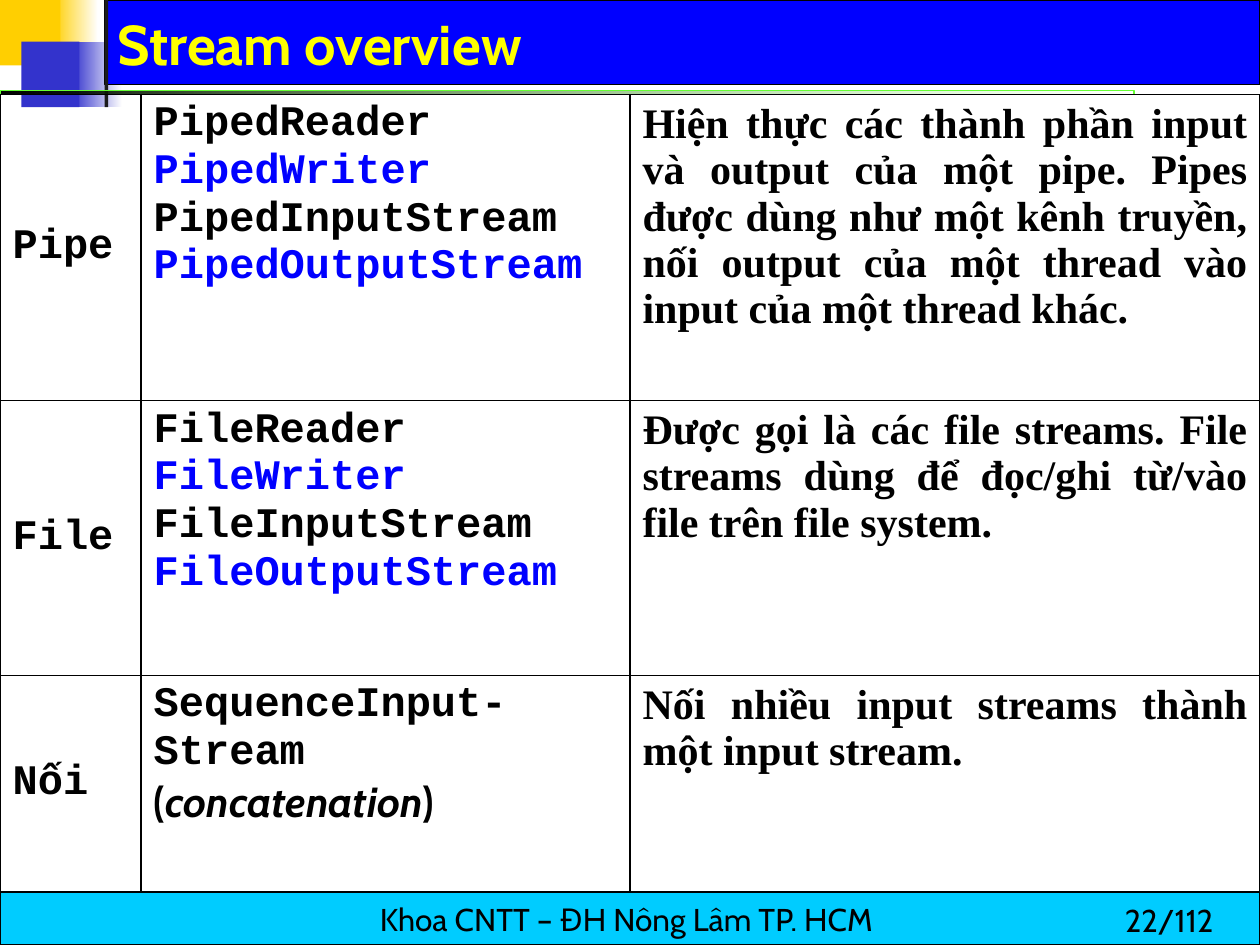
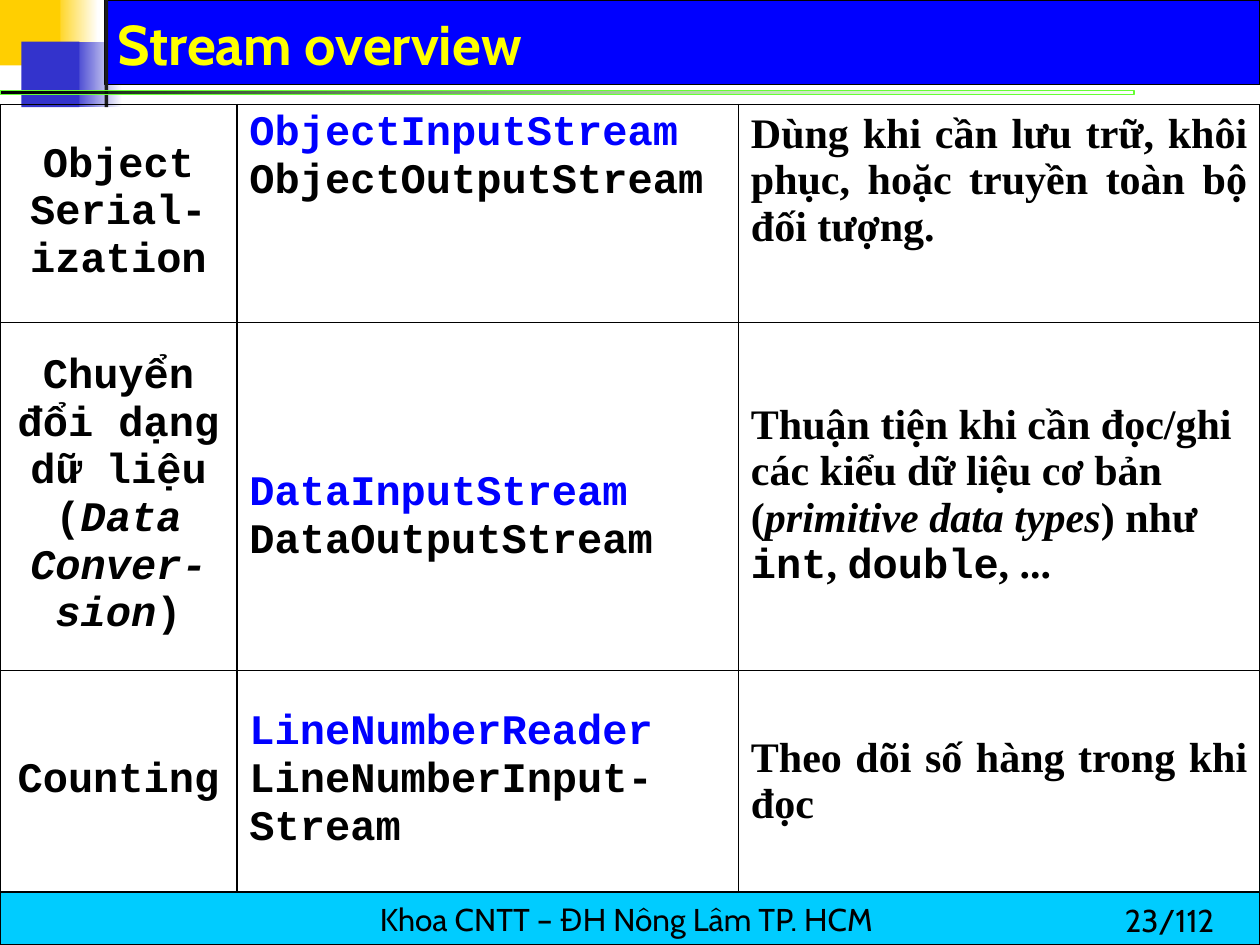
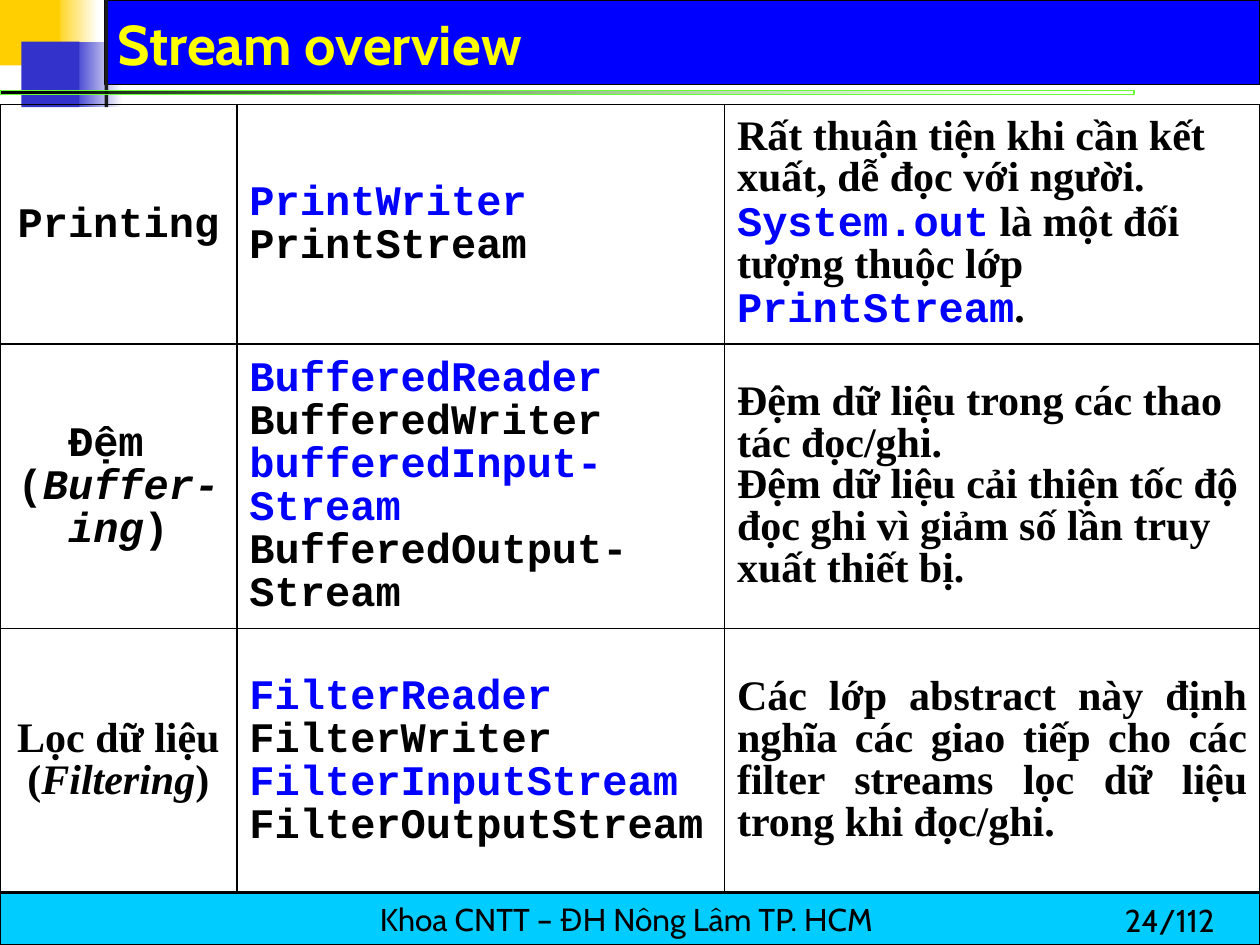
from lxml.etree import SubElement
from pptx import Presentation
from pptx.dml.color import RGBColor
from pptx.enum.shapes import MSO_SHAPE
from pptx.enum.text import MSO_ANCHOR, MSO_AUTO_SIZE, PP_ALIGN
from pptx.oxml.ns import qn
from pptx.util import Pt

PX = 9144  # 100 px to the inch
COLORS = {
    "black": "000000", "white": "FFFFFF", "charcoal": "1C1C1C", "gold": "FFCF01",
    "indigo": "3333CC", "blue": "0000FF", "green": "66FF33", "cyan": "00CCFF",
    "yellow": "FFFF00",
}
RGB = {name: RGBColor.from_string(value) for name, value in COLORS.items()}

# Run styles: font, size, colour, bold, italic
STYLES = {
    "title": ("Cabin", 32, "yellow", True, False),
    "footer": ("Cabin", 18, "black", False, False),
    "code": ("Courier New", 24, "black", True, False),
    "code blue": ("Courier New", 24, "blue", True, False),
    "code italic": ("Courier New", 24, "black", True, True),
    "serif": ("Times New Roman", 24, "black", True, False),
    "serif italic": ("Times New Roman", 24, "black", True, True),
    "sans": ("Cabin", 24, "black", True, False),
    "sans italic": ("Cabin", 24, "black", True, True),
}
LEFT, CENTER, JUSTIFY = PP_ALIGN.LEFT, PP_ALIGN.CENTER, PP_ALIGN.JUSTIFY
TOP, MIDDLE = MSO_ANCHOR.TOP, MSO_ANCHOR.MIDDLE

# Back to front: left, top, width, height, fill (a pair is a gradient), outline, outline points
DECORATIONS = [
    (42, 0, 36, 52, ("gold", "white"), None, 0),
    (57, 33, 40, 52, ("indigo", "white"), None, 0),
    (83, 0, 917, 67, "blue", "black", 0.75),
    (0, 0, 48, 52, "gold", None, 0),
    (17, 33, 46, 52, "indigo", None, 0),
    (83, 0, 3, 85, "charcoal", None, 0),
    (0, 72, 900, 3, ("black", "green"), "green", 0),
    (0, 708, 1000, 42, "cyan", "black", 0.75),
]

# Each cell: anchor, alignment, paragraphs; each paragraph is a list of (style, text)
SLIDES = [
    {"page": "22/112", "top": 75, "columns": [112, 388, 500], "rows": [243, 218, 172],
     "spacing": 1.0, "cells": [
        [(MIDDLE, LEFT, [[("code", "Pipe")]]),
         (TOP, LEFT, [[("code", "PipedReader\n"), ("code blue", "PipedWriter")],
                      [("code", "PipedInputStream\n"), ("code blue", "PipedOutputStream")]]),
         (TOP, JUSTIFY, [[("serif", "Hiện thực các thành phần input và output của một pipe. "
                           "Pipes được dùng như một kênh truyền, nối output của một thread "
                           "vào input của một thread khác.")]])],
        [(MIDDLE, LEFT, [[("code", "File")]]),
         (TOP, LEFT, [[("code", "FileReader\n"), ("code blue", "FileWriter")],
                      [("code", "FileInputStream\n"), ("code blue", "FileOutputStream")]]),
         (TOP, JUSTIFY, [[("serif", "Được gọi là các file streams. File streams dùng để "
                           "đọc/ghi từ/vào file trên file system.")]])],
        [(MIDDLE, LEFT, [[("code", "Nối")]]),
         (TOP, LEFT, [[("code", "SequenceInput-\nStream")],
                      [("sans", "("), ("sans italic", "concatenation"), ("sans", ")")]]),
         (TOP, JUSTIFY, [[("serif", "Nối nhiều input streams thành một input stream.")]])],
     ]},
    {"page": "23/112", "top": 83, "columns": [188, 398, 414], "rows": [173, 276, 176],
     "spacing": 1.0, "lowered": (1, 1), "cells": [
        [(MIDDLE, CENTER, [[("code", "Object\nSerial-\nization")]]),
         (TOP, LEFT, [[("code blue", "ObjectInputStream\n"), ("code", "ObjectOutputStream")]]),
         (TOP, JUSTIFY, [[("serif", "Dùng khi cần lưu trữ, khôi phục, hoặc truyền toàn bộ "
                           "đối tượng.")]])],
        [(MIDDLE, CENTER, [[("code", "Chuyển đổi dạng dữ liệu ("),
                            ("code italic", "Data Conver-sion"), ("code", ")")]]),
         (MIDDLE, LEFT, [[("code blue", "DataInputStream\n"), ("code", "DataOutputStream")]]),
         (MIDDLE, LEFT, [[("serif", "Thuận tiện khi cần đọc/ghi các kiểu dữ liệu cơ bản ("),
                          ("serif italic", "primitive data types"), ("serif", ") như "),
                          ("code", "int"), ("serif", ", "), ("code", "double"),
                          ("serif", ", ...")]])],
        [(MIDDLE, CENTER, [[("code", "Counting")]]),
         (MIDDLE, LEFT, [[("code blue", "LineNumberReader"),
                          ("code", " LineNumberInput-\nStream")]]),
         (MIDDLE, JUSTIFY, [[("serif", "Theo dõi số hàng trong khi đọc")]])],
     ]},
    {"page": "24/112", "top": 83, "columns": [188, 387, 425], "rows": [190, 226, 210],
     "spacing": 0.9, "cells": [
        [(MIDDLE, CENTER, [[("code", "Printing")]]),
         (MIDDLE, LEFT, [[("code blue", "PrintWriter")], [("code", "PrintStream")]]),
         (MIDDLE, LEFT, [[("serif", "Rất thuận tiện khi cần kết xuất, dễ đọc với người. "),
                          ("code blue", "System.out"),
                          ("serif", " là một đối tượng thuộc lớp "),
                          ("code blue", "PrintStream"), ("serif", ".")]])],
        [(MIDDLE, CENTER, [[("code", "Đệm ")],
                           [("code", "("), ("code italic", "Buffer-ing"), ("code", ")")]]),
         (MIDDLE, LEFT, [[("code blue", "BufferedReader\n"), ("code", "BufferedWriter")],
                         [("code blue", "bufferedInput-Stream\n"),
                          ("code", "BufferedOutput-Stream")]]),
         (MIDDLE, LEFT, [[("serif", "Đệm dữ liệu trong các thao tác đọc/ghi.")],
                         [("serif", "Đệm dữ liệu cải thiện tốc độ đọc ghi vì giảm số lần "
                           "truy xuất thiết bị.")]])],
        [(MIDDLE, CENTER, [[("serif", "Lọc dữ liệu ("), ("serif italic", "Filtering"),
                            ("serif", ")")]]),
         (MIDDLE, LEFT, [[("code blue", "FilterReader\n"), ("code", "FilterWriter")],
                         [("code blue", "FilterInputStream\n"), ("code", "FilterOutputStream")]]),
         (MIDDLE, JUSTIFY, [[("serif", "Các lớp abstract này định nghĩa các giao tiếp cho các "
                              "filter streams lọc dữ liệu trong khi đọc/ghi.")]])],
     ]},
]


def write(text_frame, paragraphs, alignment=LEFT, spacing=1.0):
    for index, runs in enumerate(paragraphs):
        paragraph = text_frame.add_paragraph() if index else text_frame.paragraphs[0]
        paragraph.alignment = alignment
        paragraph.line_spacing = spacing
        for style, text in runs:
            name, size, color, bold, italic = STYLES[style]
            for number, line in enumerate(text.split("\n")):
                if number:
                    paragraph.add_line_break()
                if line:
                    run = paragraph.add_run()
                    run.text = line
                    run.font.name, run.font.size = name, Pt(size)
                    run.font.bold, run.font.italic = bold, italic
                    run.font.color.rgb = RGB[color]


def add_borders(cell):
    properties = cell._tc.get_or_add_tcPr()
    for side in ("a:lnL", "a:lnR", "a:lnT", "a:lnB"):
        line = SubElement(properties, qn(side), w=str(Pt(1)))
        fill = SubElement(line, qn("a:solidFill"))
        SubElement(fill, qn("a:srgbClr"), val=COLORS["black"])


presentation = Presentation()
presentation.slide_width, presentation.slide_height = 1000 * PX, 750 * PX
layout = presentation.slide_layouts[5]
for placeholder in list(layout.placeholders):
    if placeholder.placeholder_format.idx:
        layout.shapes.element.remove(placeholder.element)
slides = [presentation.slides.add_slide(layout) for _ in SLIDES]

# Shared bands and squares: drawn once, then moved to the layout
for left, top, width, height, fill, outline, points in DECORATIONS:
    shape = slides[0].shapes.add_shape(
        MSO_SHAPE.RECTANGLE, left * PX, top * PX, width * PX, height * PX)
    shape.shadow.inherit = False
    if isinstance(fill, tuple):
        shape.fill.gradient()
        shape.fill.gradient_angle = 0
        for stop, color in zip(shape.fill.gradient_stops, fill):
            stop.color.rgb = RGB[color]
        if fill[1] == "green":
            end_color = shape.element.findall(".//" + qn("a:gs") + "/" + qn("a:srgbClr"))[1]
            SubElement(end_color, qn("a:alpha"), val="0")
    else:
        shape.fill.solid()
        shape.fill.fore_color.rgb = RGB[fill]
    if outline:
        shape.line.color.rgb = RGB[outline]
        shape.line.width = Pt(points)
    else:
        shape.line.fill.background()
    if fill == "cyan":
        shape.text_frame.word_wrap = False
        shape.text_frame.vertical_anchor = MIDDLE
        write(shape.text_frame, [[("footer", "Khoa CNTT – ĐH Nông Lâm TP. HCM ")]], CENTER)
    layout.shapes.element.append(shape.element)

for slide, content in zip(slides, SLIDES):
    # Title
    title = slide.shapes.title
    title.left, title.top, title.width, title.height = 83 * PX, 8 * PX, 894 * PX, 58 * PX
    title.text_frame.auto_size = MSO_AUTO_SIZE.NONE
    title.text_frame.vertical_anchor = MSO_ANCHOR.BOTTOM
    write(title.text_frame, [[("title", "Stream overview")]])

    # Page number
    page_number = slide.shapes.add_textbox(883 * PX, 710 * PX, 117 * PX, 40 * PX)
    page_number.text_frame.word_wrap = True
    write(page_number.text_frame, [[("footer", content["page"])]])

    # Table of stream classes
    columns, rows = content["columns"], content["rows"]
    table = slide.shapes.add_table(
        len(rows), len(columns), 0, content["top"] * PX, sum(columns) * PX, sum(rows) * PX).table
    table.first_row = table.horz_banding = False
    for column, width in zip(table.columns, columns):
        column.width = width * PX
    for row_index, (row, height) in enumerate(zip(table.rows, rows)):
        row.height = height * PX
        for column_index, cell in enumerate(row.cells):
            anchor, alignment, paragraphs = content["cells"][row_index][column_index]
            add_borders(cell)
            cell.fill.background()
            cell.vertical_anchor = anchor
            if content.get("lowered") == (row_index, column_index):
                cell.margin_top = 40 * PX
            write(cell.text_frame, paragraphs, alignment, content["spacing"])

presentation.save("out.pptx")
